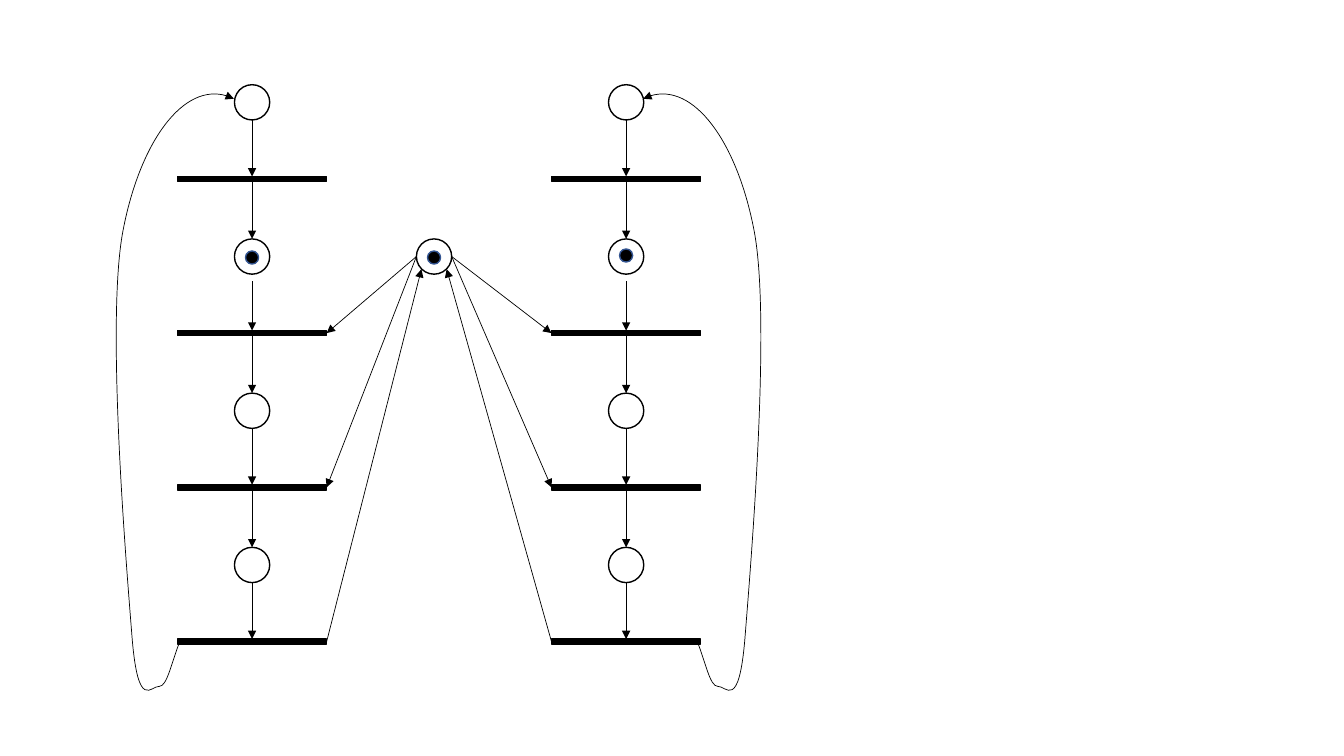
from dataclasses import dataclass

from lxml import etree
from pptx import Presentation
from pptx.dml.color import RGBColor
from pptx.enum.shapes import MSO_CONNECTOR, MSO_SHAPE
from pptx.oxml.ns import qn
from pptx.shapes.autoshape import Shape
from pptx.shapes.shapetree import GroupShapes
from pptx.util import Inches, Pt

OVAL = MSO_SHAPE.OVAL
BAR = MSO_SHAPE.RECTANGLE
STRAIGHT = MSO_CONNECTOR.STRAIGHT

COLORS = {"ink": "000000", "paper": "FFFFFF", "token_edge": "325491"}

# Net geometry in inches
PLACE_SIZE, TOKEN_SIZE = 0.35, 0.13
BAR_WIDTH, BAR_HEIGHT = 1.48, 0.05
ROWS, ROW_PITCH = 4, 1.53
FIRST_PLACE_TOP, FIRST_BAR_TOP = 0.84, 1.75
MARKED_ROW, MARKED_GAP = 1, 0.07
MUTEX_LEFT, MUTEX_TOP, MUTEX_TOKEN_TOP = 4.13, 2.37, 2.49
RETURN_INSET, RETURN_Y = 0.05, 2.67
MIRROR_SUM = 8.7

Point = tuple[float, float]

# Left feedback loop: start, then (control, control, end) per curve
LOOP_START: Point = (1.79, 6.35)
LOOP_CURVES: list[tuple[Point, Point, Point]] = [
    ((1.70, 6.57), (1.66, 6.81), (1.58, 6.81)),
    ((1.50, 6.80), (1.37, 7.07), (1.31, 6.32)),
    ((1.25, 5.56), (1.05, 3.18), (1.22, 2.29)),
    ((1.39, 1.40), (1.87, 0.75), (2.32, 0.98)),
]


@dataclass(frozen=True)
class Process:
    center: float
    token_top: float
    mutex_side: float   # edge of the mutex place facing this process
    return_x: float     # where the release arrow reaches the mutex
    inner: int          # direction from the column towards the mutex


PROCESSES = [
    Process(2.5, 2.49, MUTEX_LEFT, MUTEX_LEFT + RETURN_INSET, 1),
    Process(6.21, 2.47, MUTEX_LEFT + PLACE_SIZE,
            MUTEX_LEFT + PLACE_SIZE - RETURN_INSET, -1),
]


def color(name: str) -> RGBColor:
    return RGBColor.from_string(COLORS[name])


def draw_node(net: GroupShapes, kind: MSO_SHAPE, left: float, top: float,
              width: float, height: float, fill: str, edge: str = "ink") -> None:
    node = net.add_shape(kind, Inches(left), Inches(top), Inches(width), Inches(height))
    node.shadow.inherit = False
    node.fill.solid()
    node.fill.fore_color.rgb = color(fill)
    node.line.color.rgb = color(edge)
    node.line.width = Pt(1)


def draw_place(net: GroupShapes, left: float, top: float) -> None:
    draw_node(net, OVAL, left, top, PLACE_SIZE, PLACE_SIZE, "paper")


def draw_token(net: GroupShapes, center: float, top: float) -> None:
    draw_node(net, OVAL, center - TOKEN_SIZE / 2, top, TOKEN_SIZE, TOKEN_SIZE,
              "ink", "token_edge")


def style_arc(arc) -> None:
    arc.line.color.rgb = color("ink")
    arc.line.width = Pt(0.5)
    outline = arc.element.spPr.find(qn("a:ln"))
    etree.SubElement(outline, qn("a:tailEnd"), type="triangle")


def draw_arrow(net: GroupShapes, start: Point, end: Point) -> None:
    arrow = net.add_connector(STRAIGHT, *(Inches(value) for value in start + end))
    style_arc(arrow)
    etree.SubElement(arrow.element.spPr, qn("a:effectLst"))


def bend(loop: Shape, curves: list[tuple[Point, Point, Point]]) -> None:
    """Turn each straight segment of the loop into a cubic curve."""
    for segment, curve in zip(list(loop.element.iter(qn("a:lnTo"))), curves):
        cubic = etree.Element(qn("a:cubicBezTo"))
        for x, y in curve:
            etree.SubElement(cubic, qn("a:pt"), x=str(Inches(x) - loop.left),
                             y=str(Inches(y) - loop.top))
        segment.getparent().replace(segment, cubic)


def draw_loop(net: GroupShapes, mirrored: bool) -> None:
    def place(point: Point) -> Point:
        return (MIRROR_SUM - point[0], point[1]) if mirrored else point

    start = place(LOOP_START)
    curves = [tuple(place(point) for point in curve) for curve in LOOP_CURVES]
    builder = net.build_freeform(Inches(start[0]), Inches(start[1]))
    builder.add_line_segments(
        [(Inches(x), Inches(y)) for _, _, (x, y) in curves], close=False)
    loop = builder.convert_to_shape()
    loop.shadow.inherit = False
    loop.fill.background()
    style_arc(loop)
    bend(loop, curves)


def draw_process(net: GroupShapes, process: Process) -> None:
    center = process.center
    for row in range(ROWS):
        place_top = FIRST_PLACE_TOP + row * ROW_PITCH
        bar_top = FIRST_BAR_TOP + row * ROW_PITCH
        draw_place(net, center - PLACE_SIZE / 2, place_top)
        draw_node(net, BAR, center - BAR_WIDTH / 2, bar_top, BAR_WIDTH, BAR_HEIGHT, "ink")
        gap = MARKED_GAP if row == MARKED_ROW else 0
        draw_arrow(net, (center, place_top + PLACE_SIZE + gap), (center, bar_top))
        if row < ROWS - 1:
            draw_arrow(net, (center, bar_top + BAR_HEIGHT),
                       (center, place_top + ROW_PITCH))
    draw_token(net, center, process.token_top)


def draw_mutex_arcs(net: GroupShapes, process: Process) -> None:
    bar_end = process.center + process.inner * BAR_WIDTH / 2
    enter, work, leave = (
        (bar_end, FIRST_BAR_TOP + row * ROW_PITCH + BAR_HEIGHT / 2)
        for row in range(1, ROWS))
    mutex_edge = (process.mutex_side, MUTEX_TOP + PLACE_SIZE / 2)
    draw_arrow(net, mutex_edge, enter)
    draw_arrow(net, mutex_edge, work)
    draw_arrow(net, leave, (process.return_x, RETURN_Y))


def main() -> None:
    deck = Presentation()
    deck.slide_width, deck.slide_height = Inches(13.33), Inches(7.5)
    slide = deck.slides.add_slide(deck.slide_layouts[6])
    net = slide.shapes.add_group_shape().shapes

    # Two processes
    for process in PROCESSES:
        draw_process(net, process)

    # Shared mutex
    draw_place(net, MUTEX_LEFT, MUTEX_TOP)
    draw_token(net, MUTEX_LEFT + PLACE_SIZE / 2, MUTEX_TOKEN_TOP)
    for process in PROCESSES:
        draw_mutex_arcs(net, process)

    # Feedback loops
    for mirrored in (False, True):
        draw_loop(net, mirrored)

    deck.save("out.pptx")


if __name__ == "__main__":
    main()
